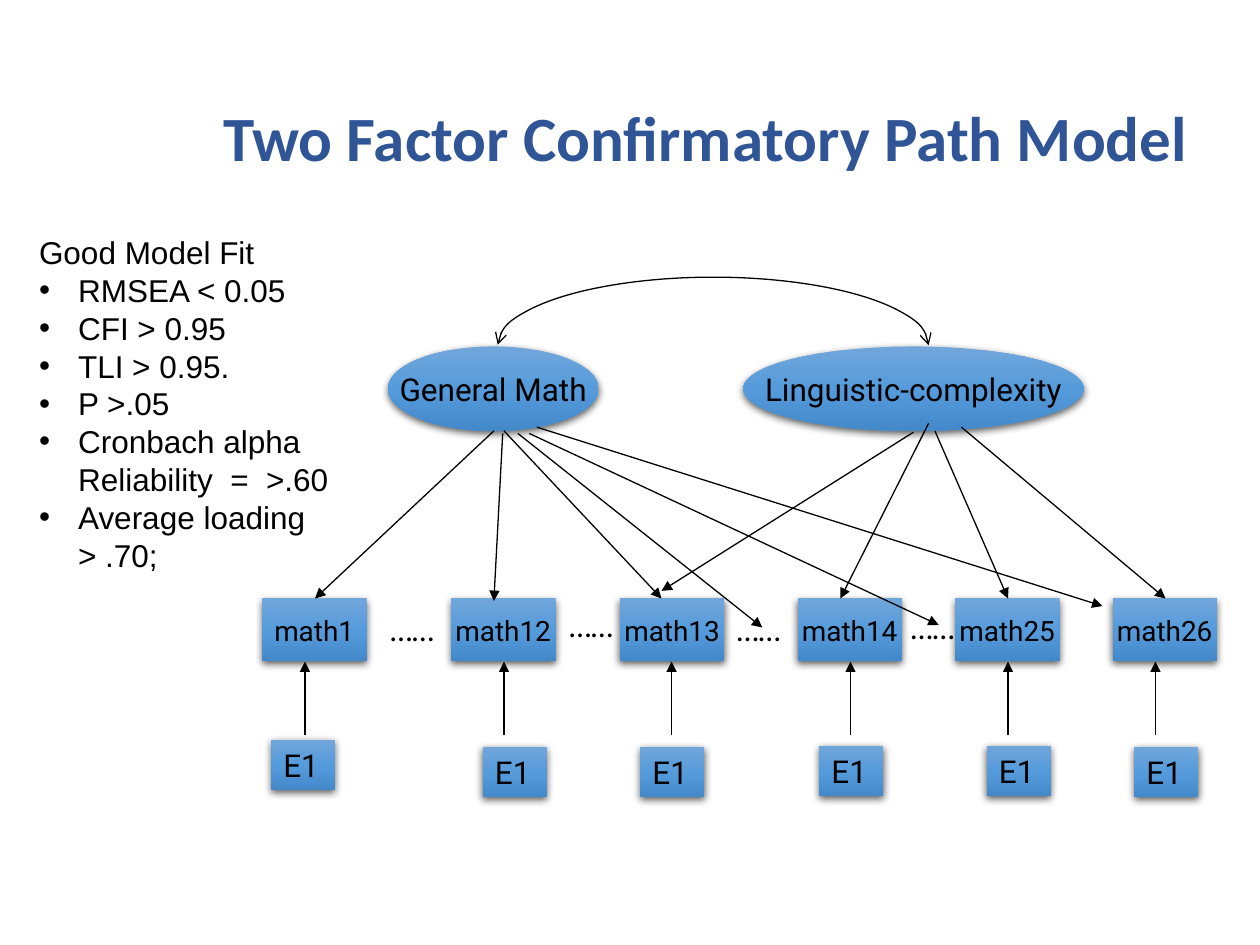
import pptx
import pptx.util
import pptx.dml.color
import pptx.enum.shapes
import pptx.enum.text
import pptx.oxml
import pptx.oxml.ns

Inches = pptx.util.Inches
Pt = pptx.util.Pt
SHAPE = pptx.enum.shapes.MSO_SHAPE
ALIGN = pptx.enum.text.PP_ALIGN
ANCHOR = pptx.enum.text.MSO_ANCHOR
AUTOSIZE = pptx.enum.text.MSO_AUTO_SIZE

COLORS = {"title": "2F5597", "ink": "000000", "top": "71A6DB", "mid": "559BDB", "bottom": "448ACA"}
NS = pptx.oxml.ns.nsdecls("a")

ITEMS = [("math1", 2.08), ("math12", 3.58), ("math13", 4.92),
         ("math14", 6.33), ("math25", 7.58), ("math26", 8.83)]
ERRORS = [(2.15, 5.87), (3.83, 5.93), (5.08, 5.93), (6.5, 5.92), (7.83, 5.92), (9, 5.93)]
ERROR_ARROWS = [2.42, 4, 5.33, 6.75, 8, 9.17]
DOTS = [(3, 4.79), (4.42, 4.76), (5.75, 4.79), (7.13, 4.78)]
LOADINGS = [
    (3.92, 3.42, 2.5, 4.75), (3.99, 3.44, 3.92, 4.77), (4, 3.42, 5.25, 4.75),
    (4.11, 3.44, 6.05, 4.98), (4.2, 3.44, 7.45, 4.96), (4.26, 3.39, 8.75, 4.81),
    (7.25, 3.43, 5.25, 4.69), (7.37, 3.36, 6.67, 4.75), (7.42, 3.42, 8, 4.75),
    (7.63, 3.39, 9.25, 4.75),
]
FIT = ["Good Model Fit", "RMSEA < 0.05", "CFI > 0.95", "TLI > 0.95.", "P >.05",
       "Cronbach alpha Reliability  =  >.60", "Average loading > .70;"]


def rgb(name):
    return pptx.dml.color.RGBColor.from_string(COLORS[name])


def xml(markup):
    return pptx.oxml.parse_xml(markup)


def place(sp, x, y, w, h):
    sp.left, sp.top, sp.width, sp.height = Inches(x), Inches(y), Inches(w), Inches(h)


def format_runs(p, font, size=18, color="ink", bold=False):
    for r in p.runs:
        r.font.name = font
        r.font.size = Pt(size)
        r.font.bold = bold
        r.font.color.rgb = rgb(color)


def add_title(s, text):
    sp = s.shapes.title
    place(sp, 1.67, 0.83, 7.92, 0.58)
    tf = sp.text_frame
    tf.text = text
    tf.auto_size = AUTOSIZE.NONE
    tf.vertical_anchor = ANCHOR.MIDDLE
    p = tf.paragraphs[0]
    p.alignment = ALIGN.LEFT
    p.line_spacing = 0.9
    format_runs(p, "Calibri", 36, "title", True)


def add_fit_list(s):
    sp = s.placeholders[1]
    place(sp, 0.21, 1.8, 2.5, 2.83)
    tf = sp.text_frame
    tf.text = "\n".join(FIT)
    tf.auto_size = AUTOSIZE.NONE
    for i, p in enumerate(tf.paragraphs):
        p.space_before = Pt(0)
        format_runs(p, "Arial")
        pPr = p._p.get_or_add_pPr()
        indent = Inches(0.31) if i else 0
        pPr.set("marL", str(indent))
        pPr.set("indent", str(-indent))
        if i:
            pPr.append(xml(f'<a:buFont {NS} typeface="Arial"/>'))
            pPr.append(xml(f'<a:buChar {NS} char="•"/>'))
        else:
            pPr.append(xml(f'<a:buNone {NS}/>'))


def add_node(s, kind, text, x, y, w, h, align=ALIGN.CENTER, size=18):
    sp = s.shapes.add_shape(kind, Inches(x), Inches(y), Inches(w), Inches(h))
    sp.line.fill.background()
    stops = "".join(
        f'<a:gs pos="{pos}"><a:srgbClr val="{COLORS[name]}"/></a:gs>'
        for pos, name in ((0, "top"), (50000, "mid"), (100000, "bottom")))
    spPr = sp._element.spPr
    spPr.insert(2, xml(f'<a:gradFill {NS}><a:gsLst>{stops}</a:gsLst>'
                       '<a:lin ang="5400000" scaled="0"/></a:gradFill>'))
    spPr.append(xml(
        f'<a:effectLst {NS}><a:outerShdw blurRad="{Pt(4.5)}" dist="{Pt(1.5)}" dir="5400000" '
        f'algn="ctr" rotWithShape="0"><a:srgbClr val="{COLORS["ink"]}"><a:alpha val="63000"/>'
        '</a:srgbClr></a:outerShdw></a:effectLst>'))
    tf = sp.text_frame
    tf.text = text
    tf.word_wrap = False
    tf.vertical_anchor = ANCHOR.MIDDLE if align == ALIGN.CENTER else ANCHOR.TOP
    p = tf.paragraphs[0]
    p.alignment = align
    format_runs(p, "Roboto", size)


def style_line(sp, **ends):
    sp.line.color.rgb = rgb("ink")
    sp.line.width = Pt(0.75)
    ln = sp.line._get_or_add_ln()
    for tag, kind in ends.items():
        ln.append(xml(f'<a:{tag} {NS} type="{kind}"/>'))


def add_arrow(s, x1, y1, x2, y2):
    sp = s.shapes.add_connector(pptx.enum.shapes.MSO_CONNECTOR.STRAIGHT,
                                Inches(x1), Inches(y1), Inches(x2), Inches(y2))
    style_line(sp, tailEnd="triangle")
    sp._element.spPr.append(xml(f'<a:effectLst {NS}/>'))


def add_correlation(s):
    sp = s.shapes.add_shape(SHAPE.ARC, Inches(3.95), Inches(2.2), Inches(3.42), Inches(1.08))
    sp.adjustments[0] = 108.085
    sp.adjustments[1] = 0
    sp.fill.background()
    style_line(sp, headEnd="arrow", tailEnd="arrow")
    sp.shadow.inherit = False


def add_dots(s, x, y):
    sp = s.shapes.add_textbox(Inches(x), Inches(y), Inches(0.58), Inches(0.4))
    tf = sp.text_frame
    tf.text = "……"
    tf.word_wrap = True
    format_runs(tf.paragraphs[0], "Calibri")


def main():
    prs = pptx.Presentation()
    prs.slide_width, prs.slide_height = Inches(10), Inches(7.5)
    s = prs.slides.add_slide(prs.slide_layouts[1])
    add_title(s, "Two Factor Confirmatory Path Model")
    add_fit_list(s)
    add_node(s, SHAPE.OVAL, "General Math", 3.08, 2.75, 1.67, 0.67)
    add_node(s, SHAPE.OVAL, "Linguistic-complexity", 5.9, 2.75, 2.7, 0.67)
    for text, x in ITEMS:
        add_node(s, SHAPE.RECTANGLE, text, x, 4.75, 0.83, 0.5, size=16)
    for x, y in ERRORS:
        add_node(s, SHAPE.RECTANGLE, "E1", x, y, 0.51, 0.4, ALIGN.LEFT)
    for ends in LOADINGS:
        add_arrow(s, *ends)
    for x in ERROR_ARROWS:
        add_arrow(s, x, 5.83, x, 5.25)
    add_correlation(s)
    for x, y in DOTS:
        add_dots(s, x, y)
    prs.save("out.pptx")


if __name__ == "__main__":
    main()
